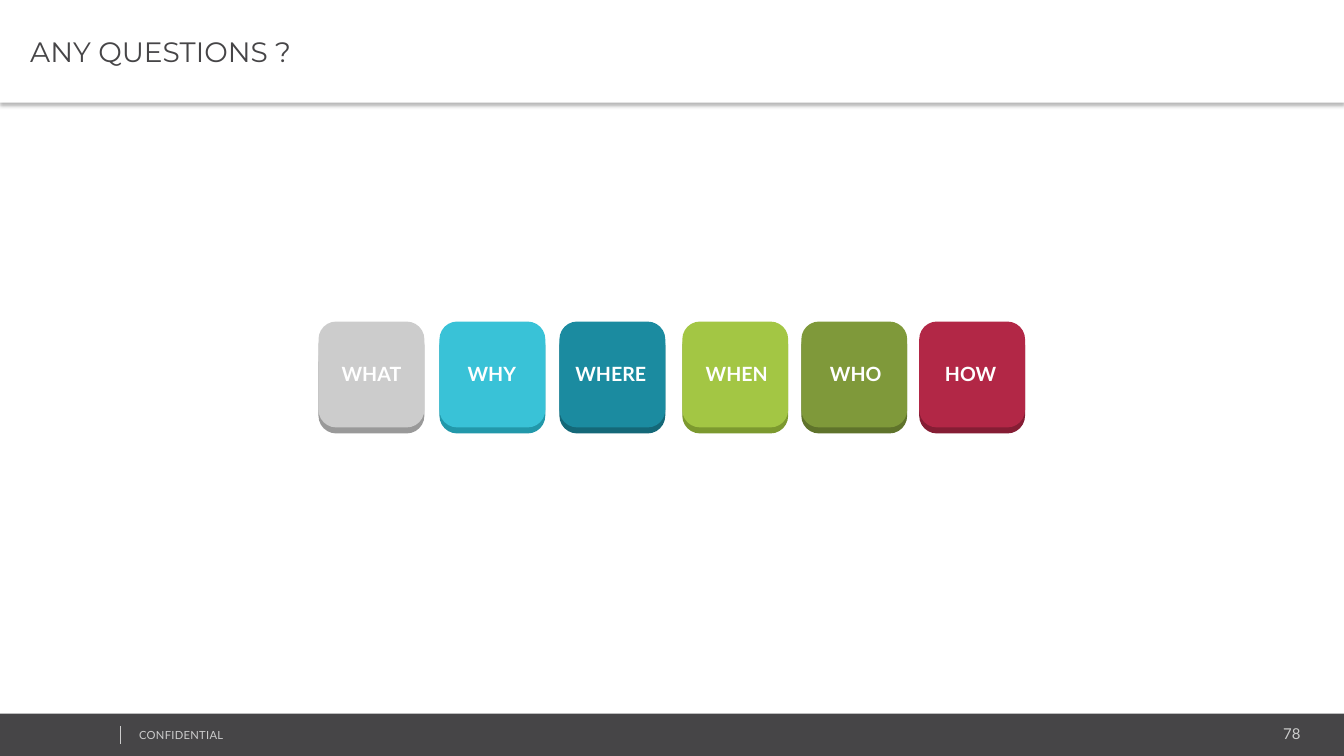
from lxml.etree import SubElement
from pptx import Presentation
from pptx.dml.color import RGBColor
from pptx.enum.shapes import MSO_CONNECTOR, MSO_SHAPE
from pptx.enum.text import MSO_ANCHOR, MSO_AUTO_SIZE, PP_ALIGN
from pptx.oxml.ns import qn
from pptx.util import Pt

COLORS = {
    "dark": "464547", "muted": "CCCCCC", "white": "FFFFFF", "black": "000000",
    "gray": "CCCCCC", "gray_edge": "999999",
    "cyan": "39C2D7", "cyan_edge": "2298AA",
    "teal": "1B8BA0", "teal_edge": "146878",
    "lime": "A3C644", "lime_edge": "7C992F",
    "olive": "7F993A", "olive_edge": "5F732B",
    "crimson": "B22746", "crimson_edge": "851D34",
}

QUESTIONS = [
    ("WHAT", "gray", 227.5, 234.7, 61.2),
    ("WHY", "cyan", 313.9, 325.4, 51.8),
    ("WHERE", "teal", 399.6, 401, 70.6),
    ("WHEN", "lime", 487.4, 494.6, 63.4),
    ("WHO", "olive", 572.4, 583.9, 54.7),
    ("HOW", "crimson", 656.6, 666, 54.7),
]
KEY_SIZE = 75.6
KEY_TOP = 229.7
EDGE_DEPTH = 4.3


class Deck:
    body_font = "Lato"
    title_font = "Montserrat"

    def __init__(self, width, height):
        self.presentation = Presentation()
        self.presentation.slide_width = Pt(width)
        self.presentation.slide_height = Pt(height)
        self.slide = self.presentation.slides.add_slide(self.presentation.slide_layouts[5])

    def color(self, name):
        return RGBColor.from_string(COLORS[name])

    def run(self, paragraph, words, size, color, font=None, bold=False):
        run = paragraph.add_run()
        run.text = words
        run.font.name = font or self.body_font
        run.font.size = Pt(size)
        run.font.bold = bold
        run.font.color.rgb = self.color(color)
        return run

    def title(self, words, width, height):
        title = self.slide.shapes.title
        title.left, title.top, title.width, title.height = Pt(0), Pt(0), Pt(width), Pt(height)
        title.fill.solid()
        title.fill.fore_color.rgb = self.color("white")
        title.line.fill.background()
        effects = SubElement(title.element.spPr, qn("a:effectLst"))
        shadow = SubElement(effects, qn("a:outerShdw"), blurRad=str(Pt(3.1)),
                            dist=str(Pt(2)), dir="5400000", algn="t", rotWithShape="0")
        tint = SubElement(shadow, qn("a:srgbClr"), val=COLORS["black"])
        SubElement(tint, qn("a:alpha"), val="30000")
        frame = title.text_frame
        frame.auto_size = MSO_AUTO_SIZE.NONE
        frame.word_wrap = True
        frame.vertical_anchor = MSO_ANCHOR.MIDDLE
        frame.margin_left, frame.margin_right = Pt(21.6), Pt(5)
        frame.margin_top = frame.margin_bottom = Pt(3)
        frame.paragraphs[0].alignment = PP_ALIGN.LEFT
        self.run(frame.paragraphs[0], words, 20, "dark", self.title_font)

    def block(self, kind, left, top, width, height, color, parent=None):
        shapes = (parent or self.slide).shapes
        block = shapes.add_shape(kind, Pt(left), Pt(top), Pt(width), Pt(height))
        block.shadow.inherit = False
        block.fill.solid()
        block.fill.fore_color.rgb = self.color(color)
        block.line.fill.background()

    def label(self, words, left, top, width, height, size, color,
              align=PP_ALIGN.LEFT, bold=False, wrap=True, parent=None):
        shapes = (parent or self.slide).shapes
        label = shapes.add_textbox(Pt(left), Pt(top), Pt(width), Pt(height))
        frame = label.text_frame
        frame.word_wrap = wrap
        frame.auto_size = MSO_AUTO_SIZE.SHAPE_TO_FIT_TEXT
        frame.paragraphs[0].alignment = align
        return self.run(frame.paragraphs[0], words, size, color, bold=bold)

    def divider(self, x, top, bottom, color):
        divider = self.slide.shapes.add_connector(
            MSO_CONNECTOR.STRAIGHT, Pt(x), Pt(top), Pt(x), Pt(bottom))
        divider.line.color.rgb = self.color(color)
        divider.line.width = Pt(0.25)
        SubElement(divider.element.spPr, qn("a:effectLst"))

    def key(self, word, color, left, label_left, label_width):
        key = self.slide.shapes.add_group_shape()
        for top, shade in ((KEY_TOP + EDGE_DEPTH, color + "_edge"), (KEY_TOP, color)):
            self.block(MSO_SHAPE.ROUNDED_RECTANGLE, left, top, KEY_SIZE, KEY_SIZE, shade, key)
        self.label(word, label_left, 254.9, label_width, 28.8, 14, "white",
                   PP_ALIGN.CENTER, bold=True, wrap=False, parent=key)


def main():
    deck = Deck(960, 540)
    deck.title("ANY QUESTIONS ?", 960, 73.4)
    deck.block(MSO_SHAPE.RECTANGLE, 0, 509.8, 961, 31, "dark")
    deck.label("78", 779, 514.1, 157, 20.2, 10.7, "muted", PP_ALIGN.RIGHT)
    confidential = deck.label("CONFIDENTIAL", 92.2, 517, 243.4, 17.3, 8, "muted")
    confidential.font._element.set("spc", "20")
    deck.divider(85.7, 518.4, 531.4, "muted")
    for question in QUESTIONS:
        deck.key(*question)
    deck.presentation.save("out.pptx")


if __name__ == "__main__":
    main()
